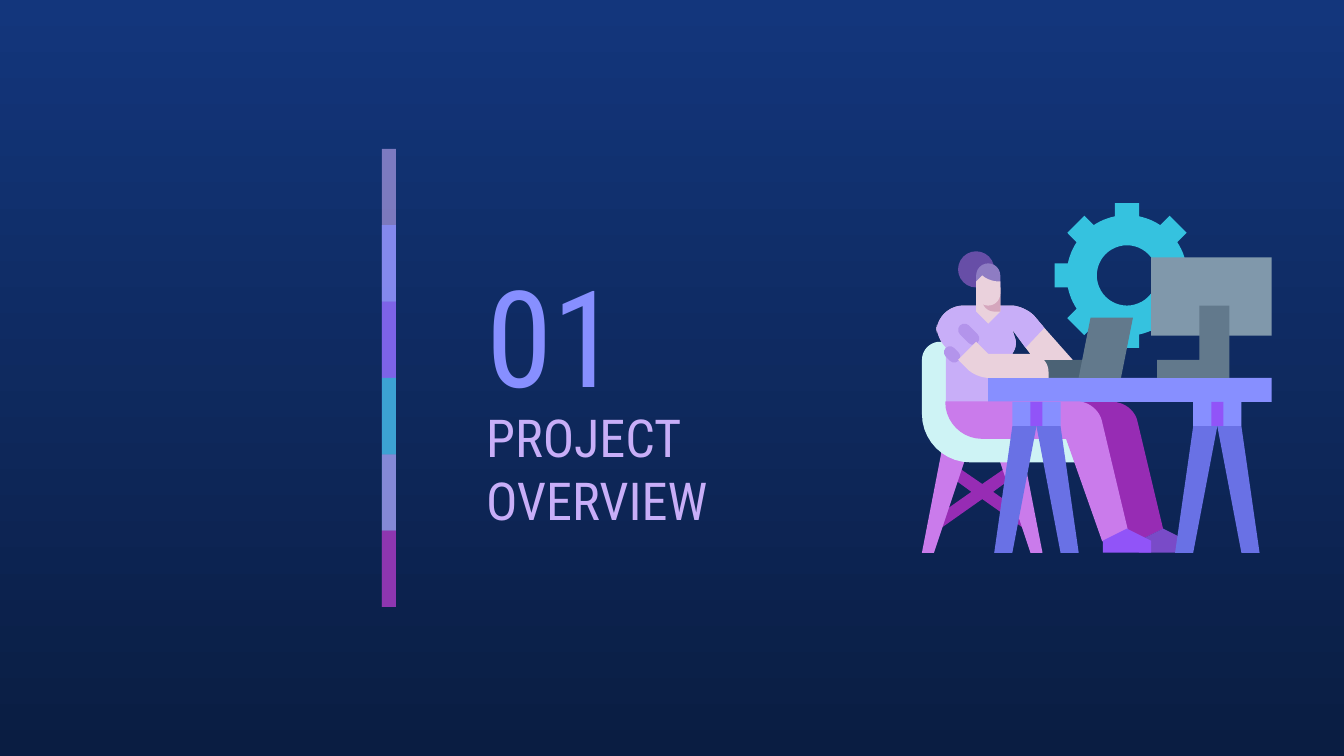
import math

import lxml.etree
import pptx
import pptx.dml.color
import pptx.enum.shapes
import pptx.enum.text
import pptx.oxml.ns
import pptx.util

Pt = pptx.util.Pt
SHAPES = pptx.enum.shapes.MSO_SHAPE

THEME = {
    "font": "Roboto Condensed", "number_size": 72, "title_size": 28,
    "sky": "13367C", "night": "0A1D42",
    "lilac": "C8AEF8", "periwinkle": "878FFF", "violet": "9154F8",
    "cyan": "35C2DF", "orchid": "CA7BEB", "purple": "972CB4",
    "mint": "CEF3F5", "skin": "EAD1DC", "blush": "D5A6BD",
    "sleeve": "B394EB", "bun": "674EA7", "hair": "8E7CC3",
    "back_shoe": "794BC8", "indigo": "6971E5",
    "screen": "8098AB", "metal": "62798C", "keyboard": "4B6275",
}

TEXTS = [  # text, box (left, top, width, height), size, colour
    ("01", (253.4, 130.3, 126, 97.2), "number_size", "periwinkle"),
    ("PROJECT\vOVERVIEW", (253.4, 226.8, 206.6, 48.2), "title_size", "lilac"),
]

# Bands are two steps tall, so each overlaps the next; the last is one step.
BAR_LEFT, BAR_TOP, BAR_WIDTH, BAR_STEP = 204.6, 79.8, 7.5, 40.9
BANDS = [("lilac", 59), ("periwinkle", 74), ("violet", 53),
         ("cyan", 76), ("orchid", 56), ("purple", 74)]

# The illustration lies on a grid of 58 by 58 units.
ART_LEFT, ART_TOP, UNIT = 493.9, 108.8, 3.23
FLOOR, DESK_BOTTOM = 58, 33

PRESETS = {  # preset shape, adjustment, rotation
    "rect": (SHAPES.RECTANGLE, None, 0),
    "ellipse": (SHAPES.OVAL, None, 0),
    "capsule": (SHAPES.ROUNDED_RECTANGLE, 0.5, 45),
    "dome": (SHAPES.ROUND_2_SAME_RECTANGLE, 0.5, 0),
    "slant": (SHAPES.PARALLELOGRAM, 0.22, 0),
}


def mirror(points, axis):
    return [(2 * axis - x, y) for x, y in points]


def symmetric(half, axis):
    """Close a left half, listed from top to bottom, with its mirror image."""
    return half + mirror(half, axis)[::-1]


def gear(x, y, teeth=8, body=10, tip=12, half_tooth=2, hole=5):
    """Return the toothed rim and the round hole of a gear."""
    def polar(radius, angle):
        return x + radius * math.sin(angle), y - radius * math.cos(angle)

    pitch = math.tau / teeth
    root_angle = math.asin(half_tooth / body)
    tip_angle = math.atan2(half_tooth, tip)
    tip_radius = math.hypot(half_tooth, tip)
    rim = []
    for tooth in range(teeth):
        middle = tooth * pitch
        rim += [polar(tip_radius, middle - tip_angle), polar(tip_radius, middle + tip_angle)]
        gap = pitch - 2 * root_angle
        rim += [polar(body, middle + root_angle + gap * step / 6) for step in range(7)]
    return [rim, [polar(hole, -math.tau * step / 48) for step in range(48)]]


def leg(hip, heel):
    ankle = FLOOR - 2
    return [(hip, DESK_BOTTOM), (hip, 39, 6), (hip + 20, 39), (heel, ankle),
            (hip + 26, ankle), (hip + 30, 54), (hip + 25, DESK_BOTTOM, 3.2)]


def shoe(middle):
    return symmetric([(middle, 54), (middle - 4, FLOOR - 2), (middle - 4, FLOOR)], middle)


def trestle(middle):
    left_leg = [(middle - 4, 37), (middle - 7, FLOOR), (middle - 4, FLOOR), (middle, 37)]
    return [("rect", "periwinkle", (middle - 4, DESK_BOTTOM, 8, 4)),
            ("rect", "violet", (middle - 1, DESK_BOTTOM, 2, 4)),
            ("outline", "indigo", [left_leg]),
            ("outline", "indigo", [mirror(left_leg, middle)])]


# In an outline, a third number rounds that corner.
CHAIR_MIDDLE = 10
CHAIR_LEG = [(3.5, 40), (0, FLOOR), (2, FLOOR), (8, 40)]
BRACE = [(10, 46.6), (5.5, 43.5), (4.5, 45.2), (8.2, 47.9), (1.8, 52.4), (2.9, 54.1), (10, 49.1)]
SHIRT = [(17.2, 17, 2.4), (2.4, 17, 4.5), (2.4, 22, 1.8), (4, 24), (4, 33), (15, 33),
         (15, 25), (15.8, 23.5, 1), (15, 21), (17.2, 24)]
CUFF = [(20.3, 20.7)]
FAR_ARM = [(18.7, 26), (25, 26)]

ART = [  # kind, colour, geometry; from back to front
    ("outline", "cyan", gear(34, 12)),
    ("rect", "keyboard", (20, 26, 7, 3)),
    ("outline", "purple", [symmetric(BRACE, CHAIR_MIDDLE)]),
    ("outline", "orchid", [mirror(CHAIR_LEG, CHAIR_MIDDLE)]),
    ("outline", "orchid", [CHAIR_LEG]),
    ("outline", "mint", [[(0, 23, 3), (0, 43, 8), (27, 43), (27, 38), (5, 38, 5), (5, 23)]]),
    ("outline", "purple", [leg(10, heel=34)]),
    ("outline", "back_shoe", [shoe(40)]),
    ("outline", "skin", [SHIRT + FAR_ARM + CUFF]),
    ("outline", "lilac", [SHIRT + CUFF]),
    ("rect", "periwinkle", (11, 29, 47, 4)),
    ("capsule", "sleeve", (3.5, 24.1, 3, 2)),
    ("capsule", "sleeve", (5.7, 20.7, 4.1, 2.1)),
    ("outline", "skin", [symmetric([(9, 14), (9, 18), (11, 20)], 11)]),
    ("outline", "skin", [[(9, 23), (6, 26), (9, 29, 2), (21, 29), (21, 25, 3), (11, 25)]]),
    ("slant", "metal", (26, 19, 9, 10)),
    ("outlined", "orchid", [leg(4, heel=30)]),
    ("outline", "violet", [shoe(34)]),
    ("rect", "screen", (38, 9, 20, 13)),
    ("outline", "metal", [[(46, 17), (46, 26), (39, 26), (39, 29), (51, 29), (51, 17)]]),
    *trestle(49),
    *trestle(19),
    ("outline", "blush", [[(10, 14), (10, 18, 2), (13, 18), (13, 14)]]),
    ("ellipse", "bun", (6, 8, 6, 6)),
    ("dome", "hair", (9, 10, 4, 4)),
    ("outline", "skin", [[(10, 12), (9, 13), (9, 17, 2), (13, 17, 2), (13, 13), (11.2, 13, 1.4)]]),
]


def colour(name):
    return pptx.dml.color.RGBColor.from_string(THEME[name])


def paint(shape, name, opacity=100, line_width=0):
    shape.shadow.inherit = False
    shape.fill.solid()
    shape.fill.fore_color.rgb = colour(name)
    if opacity < 100:
        fill = shape.fill._xPr.find(".//" + pptx.oxml.ns.qn("a:srgbClr"))
        lxml.etree.SubElement(fill, pptx.oxml.ns.qn("a:alpha"), val=str(opacity * 1000))
    if line_width:
        shape.line.color.rgb = colour(name)
        shape.line.width = Pt(line_width)
    else:
        shape.line.fill.background()


def add_preset(slide, kind, box, name, **style):
    preset, adjustment, rotation = PRESETS[kind]
    shape = slide.shapes.add_shape(preset, *(Pt(length) for length in box))
    if adjustment is not None:
        shape.adjustments[0] = adjustment
    shape.rotation = rotation
    paint(shape, name, **style)


def round_corners(outline, steps=10):
    """Return the outline's points in slide lengths, with its curves cut into steps."""
    points = []
    for index, (x, y, *radius) in enumerate(outline):
        if not radius:
            points.append((x, y))
            continue
        before, after = outline[index - 1], outline[(index + 1) % len(outline)]
        for step in range(steps + 1):
            t = step / steps
            point = [x, y]
            for neighbour, s in ((before, 1 - t), (after, t)):
                reach = radius[0] * (s ** 3 + 1.35 * s * s * (1 - s))
                reach /= math.dist((x, y), neighbour[:2])
                point[0] += reach * (neighbour[0] - x)
                point[1] += reach * (neighbour[1] - y)
            points.append(point)
    return [(Pt(ART_LEFT + x * UNIT), Pt(ART_TOP + y * UNIT)) for x, y in points]


def add_outline(slide, contours, name, **style):
    first, *others = [round_corners(contour) for contour in contours]
    builder = slide.shapes.build_freeform(*first[0])
    builder.add_line_segments(first[1:], close=True)
    for points in others:
        builder.move_to(*points[0])
        builder.add_line_segments(points[1:], close=True)
    paint(builder.convert_to_shape(), name, **style)


def add_text(slide, text, box, size, name):
    frame = slide.shapes.add_textbox(*(Pt(length) for length in box)).text_frame
    frame.word_wrap = True
    frame.vertical_anchor = pptx.enum.text.MSO_ANCHOR.MIDDLE
    frame.margin_left = frame.margin_right = frame.margin_top = frame.margin_bottom = Pt(7.2)
    para = frame.paragraphs[0]
    para.text = text
    for span in para.runs:
        span.font.name = THEME["font"]
        span.font.size = Pt(THEME[size])
        span.font.color.rgb = colour(name)


def main():
    deck = pptx.Presentation()
    deck.slide_width, deck.slide_height = Pt(720), Pt(405)
    slide = deck.slides.add_slide(deck.slide_layouts[6])

    backdrop = slide.background.fill
    backdrop.gradient()
    backdrop.gradient_angle = 270
    for stop, name in zip(backdrop.gradient_stops, ("sky", "night")):
        stop.color.rgb = colour(name)

    for index, (name, opacity) in enumerate(BANDS):
        steps = min(2, len(BANDS) - index)
        box = (BAR_LEFT, BAR_TOP + index * BAR_STEP, BAR_WIDTH, steps * BAR_STEP)
        add_preset(slide, "rect", box, name, opacity=opacity)
    for text, box, size, name in TEXTS:
        add_text(slide, text, box, size=size, name=name)
    for kind, name, geometry in ART:
        if kind in PRESETS:
            x, y, width, height = (length * UNIT for length in geometry)
            add_preset(slide, kind, (ART_LEFT + x, ART_TOP + y, width, height), name)
        else:
            add_outline(slide, geometry, name, line_width=0.75 if kind == "outlined" else 0)
    deck.save("out.pptx")


if __name__ == "__main__":
    main()
